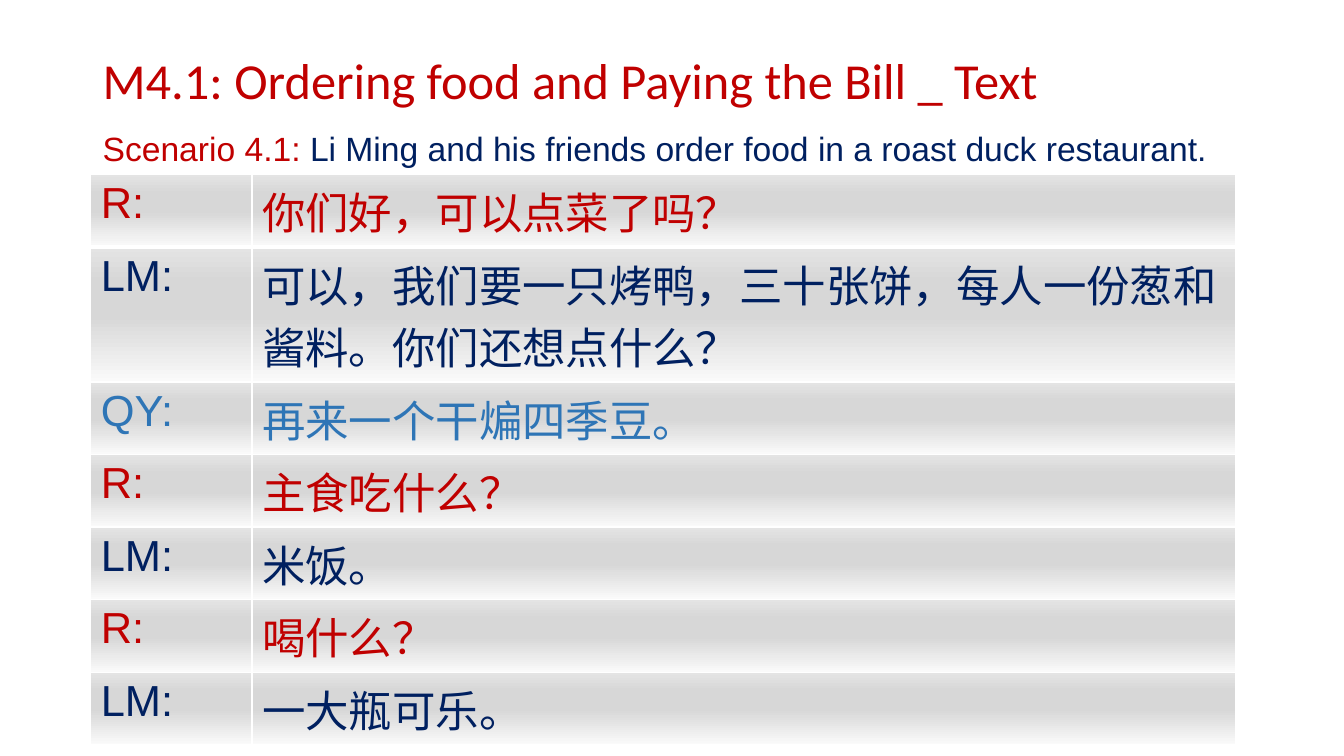
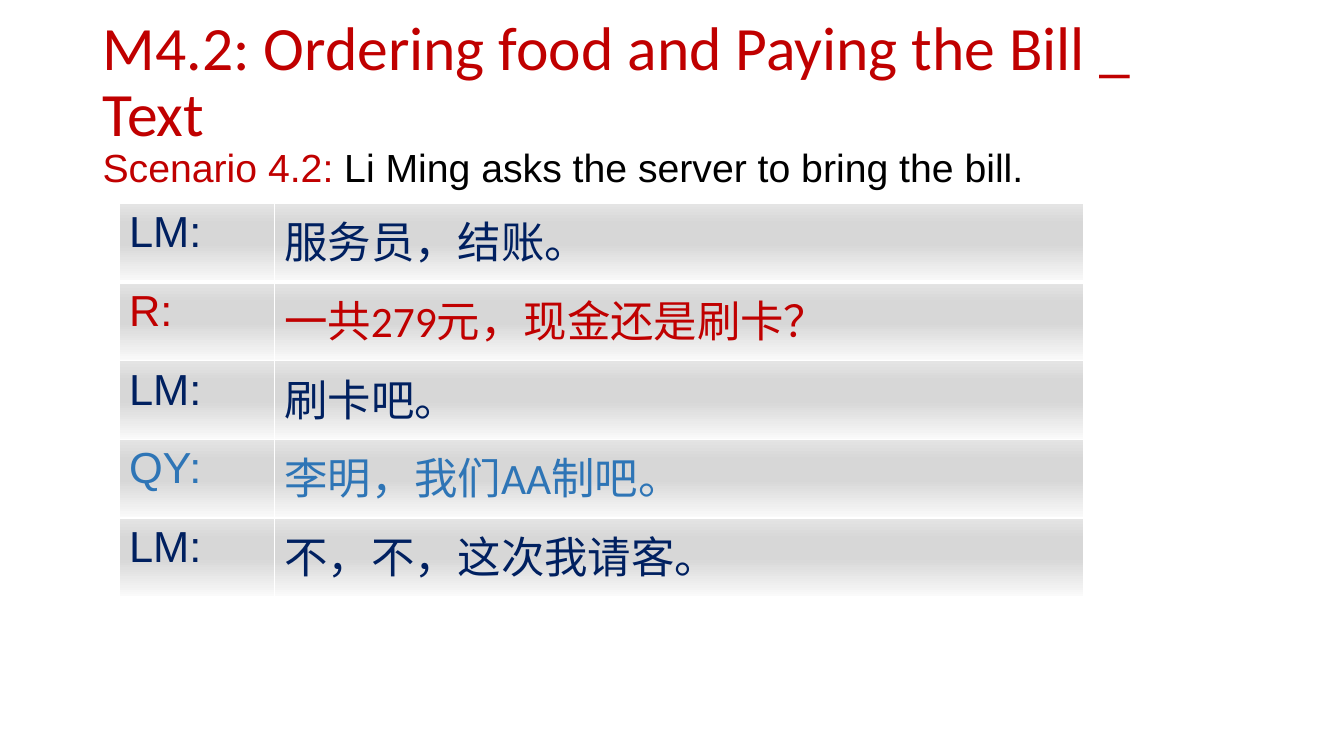
from dataclasses import dataclass

from lxml import etree
from pptx import Presentation
from pptx.dml.color import RGBColor
from pptx.enum.lang import MSO_LANGUAGE_ID as Language
from pptx.enum.text import MSO_ANCHOR as Anchor
from pptx.oxml.ns import qn
from pptx.util import Inches, Pt


@dataclass(frozen=True)
class Theme:
    red: str = "C00000"
    navy: str = "002060"
    blue: str = "2E75B6"
    black: str = "000000"
    white: str = "FFFFFF"
    heading_font: str = "Calibri"
    label_font: str = "Arial"
    dialogue_size: float = 31
    line_spacing: float = 0.9
    # Gradient stops, from the bottom of a cell to its top
    cell_stops: tuple = ((0, "FAFAFA"), (49, "D7D7D7"), (74, "D7D7D7"), (100, "E4E4E4"))


THEME = Theme()
SPEAKER_COLOURS = {"R": THEME.red, "LM": THEME.navy, "QY": THEME.blue}


def add_span(para, text, size, font, colour, language=Language.ENGLISH_US):
    span = para.add_run()
    span.text = text
    span.font.size = Pt(size)
    span.font.name = font
    span.font.color.rgb = RGBColor.from_string(colour)
    span.font.language_id = language


def add_text(page, box, spans, size, font, anchor=Anchor.TOP):
    """Place one paragraph of (text, colour) spans in the box."""
    frame = page.shapes.add_textbox(*map(Inches, box)).text_frame
    frame.word_wrap = True
    frame.vertical_anchor = anchor
    para = frame.paragraphs[0]
    para.line_spacing = THEME.line_spacing
    for text, colour in spans:
        add_span(para, text, size, font, colour)


def add_colour(parent, colour):
    etree.SubElement(parent, qn("a:srgbClr"), val=colour)


def style_cell(cell, bottom_width):
    """Give a cell white borders and the grey gradient."""
    properties = cell._tc.get_or_add_tcPr()
    widths = {"lnL": 1, "lnR": 1, "lnT": 1, "lnB": bottom_width}
    for side, width in widths.items():
        line = etree.SubElement(properties, qn(f"a:{side}"), w=str(Pt(width)))
        add_colour(etree.SubElement(line, qn("a:solidFill")), THEME.white)
    gradient = etree.SubElement(properties, qn("a:gradFill"), rotWithShape="1")
    stops = etree.SubElement(gradient, qn("a:gsLst"))
    for percent, colour in THEME.cell_stops:
        add_colour(etree.SubElement(stops, qn("a:gs"), pos=str(percent * 1000)), colour)
    etree.SubElement(gradient, qn("a:lin"), ang=str(270 * 60000), scaled="0")


def add_dialogue(page, box, label_width, lines, row_heights):
    """Place a table of speakers and their lines."""
    left, top, width, height = map(Inches, box)
    table = page.shapes.add_table(len(lines), 2, left, top, width, height).table
    table.first_row = table.horz_banding = False
    table.columns[0].width = Inches(label_width)
    table.columns[1].width = width - Inches(label_width)
    for index, ((speaker, speech), row_height) in enumerate(zip(lines, row_heights)):
        row = table.rows[index]
        row.height = Inches(row_height)
        contents = (
            (f"{speaker}:", THEME.label_font, Language.ENGLISH_US),
            (speech, THEME.heading_font, Language.SIMPLIFIED_CHINESE),
        )
        for cell, (text, font, language) in zip(row.cells, contents):
            style_cell(cell, bottom_width=3 if index == 0 else 1)
            add_span(cell.text_frame.paragraphs[0], text, THEME.dialogue_size,
                     font, SPEAKER_COLOURS[speaker], language)


def add_dialogue_page(deck, title, title_size, scenario, scenario_colour, scenario_size,
                      scenario_top, table_box, label_width, lines, row_heights):
    page = deck.slides.add_slide(deck.slide_layouts[6])
    # Title
    add_text(page, (0.92, 0.4, 11.5, 0.86), [(title, THEME.red)],
             title_size, THEME.heading_font, Anchor.MIDDLE)
    # Scenario
    label, description = scenario
    add_text(page, (0.92, scenario_top, 11.5, 6.75 - scenario_top),
             [(label, THEME.red), (description, scenario_colour)],
             scenario_size, THEME.label_font)
    # Dialogue
    add_dialogue(page, table_box, label_width, lines, row_heights)


def main():
    deck = Presentation()
    deck.slide_width, deck.slide_height = Inches(13.33), Inches(7.5)

    add_dialogue_page(
        deck,
        title="M4.1: Ordering food and Paying the Bill _ Text",
        title_size=36,
        scenario=("Scenario 4.1: ",
                  "Li Ming and his friends order food in a roast duck restaurant."),
        scenario_colour=THEME.navy,
        scenario_size=24,
        scenario_top=1.26,
        table_box=(0.9, 1.73, 11.35, 5.66),
        label_width=1.6,
        lines=[
            ("R", "你们好，可以点菜了吗？"),
            ("LM", "可以，我们要一只烤鸭，三十张饼，每人一份葱和酱料。你们还想点什么？"),
            ("QY", "再来一个干煸四季豆。"),
            ("R", "主食吃什么？"),
            ("LM", "米饭。"),
            ("R", "喝什么？"),
            ("LM", "一大瓶可乐。"),
        ],
        row_heights=[0.72, 1.34] + [0.72] * 5,
    )
    add_dialogue_page(
        deck,
        title="M4.2: Ordering food and Paying the Bill _ Text",
        title_size=44,
        scenario=("Scenario 4.2: ", "Li Ming asks the server to bring the bill."),
        scenario_colour=THEME.black,
        scenario_size=28,
        scenario_top=1.43,
        table_box=(1.18, 2.02, 9.57, 3.9),
        label_width=1.54,
        lines=[
            ("LM", "服务员，结账。"),
            ("R", "一共279元，现金还是刷卡？"),
            ("LM", "刷卡吧。"),
            ("QY", "李明，我们AA制吧。"),
            ("LM", "不，不，这次我请客。"),
        ],
        row_heights=[0.78] * 5,
    )
    deck.save("out.pptx")


if __name__ == "__main__":
    main()
